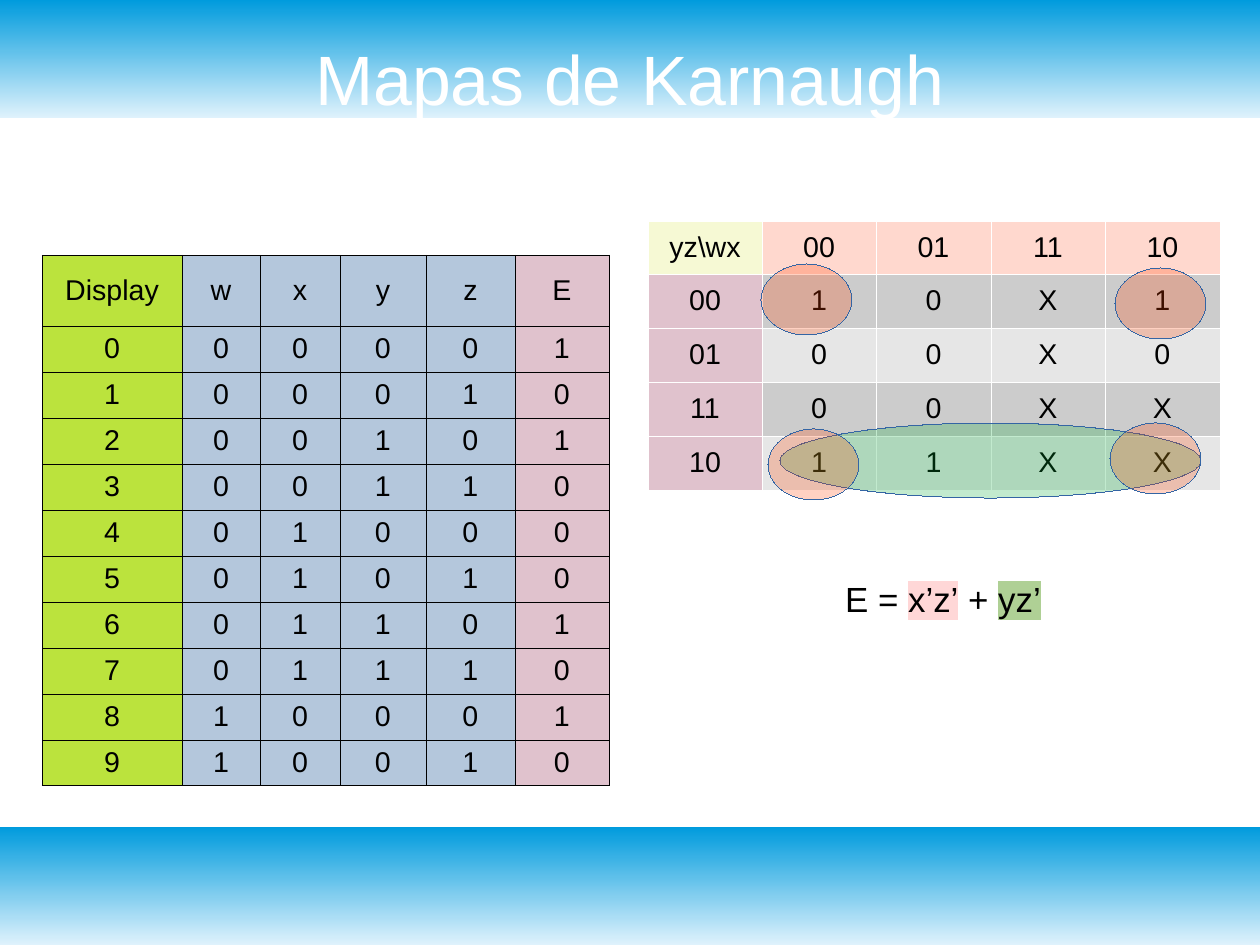
from pptx import Presentation
from pptx.dml.color import RGBColor
from pptx.enum.shapes import MSO_SHAPE as SHAPE
from pptx.enum.text import MSO_ANCHOR as ANCHOR, PP_ALIGN as ALIGN
from pptx.oxml import parse_xml
from pptx.oxml.ns import nsdecls
from pptx.util import Pt

PX = 8000
COLORS = {
    "white": "FFFFFF", "black": "000000", "sky": "009BDD", "pale": "DFF2FC",
    "lime": "BBE33D", "steel": "B4C7DC", "mauve": "E0C2CD",
    "cream": "F6F9D4", "peach": "FFD8CE", "dark gray": "CCCCCC", "light gray": "E6E6E6",
    "rose mark": "FFD7D7", "green mark": "AFD095",
    "green": "00A933", "orange": "FF4000", "outline": "3465A4",
}


def add_text(paragraph, text, size, color="black"):
    paragraph.alignment = ALIGN.CENTER
    run = paragraph.add_run()
    run.text = text
    for name, value in {"name": "Arial", "size": Pt(size)}.items():
        setattr(run.font, name, value)
    run.font.color.rgb = RGBColor.from_string(COLORS[color])
    return run


def add_grid(left, top, widths, heights, rows, border, pick_fill):
    frame = slide.shapes.add_table(
        len(rows), len(widths), left * PX, top * PX, sum(widths) * PX, sum(heights) * PX)
    table = frame.table
    table.first_row = table.horz_banding = False
    for column, width in zip(table.columns, widths):
        column.width = width * PX
    for row, height in zip(table.rows, heights):
        row.height = height * PX
    for r, values in enumerate(rows):
        for c, value in enumerate(values):
            cell = table.cell(r, c)
            cell.vertical_anchor = ANCHOR.MIDDLE
            properties = cell._tc.get_or_add_tcPr()
            for side in "LRTB":
                properties.append(parse_xml(
                    f'<a:ln{side} {nsdecls("a")} w="720"><a:solidFill>'
                    f'<a:srgbClr val="{COLORS[border]}"/></a:solidFill></a:ln{side}>'))
            cell.fill.solid()
            cell.fill.fore_color.rgb = RGBColor.from_string(COLORS[pick_fill(r, c)])
            add_text(cell.text_frame.paragraphs[0], value, 18)


presentation = Presentation()
presentation.slide_width = 1260 * PX
presentation.slide_height = 945 * PX
slide = presentation.slides.add_slide(presentation.slide_layouts[6])

for top in (0, 827):
    band = slide.shapes.add_shape(SHAPE.RECTANGLE, 0, top * PX, 1260 * PX, 118 * PX)
    band.shadow.inherit = False
    band.line.fill.background()
    band.fill.gradient()
    band.fill.gradient_angle = 90
    for stop, color in zip(band.fill.gradient_stops, ("pale", "sky")):
        stop.color.rgb = RGBColor.from_string(COLORS[color])

title = slide.shapes.add_textbox(63 * PX, 38 * PX, 1134 * PX, 80 * PX).text_frame
for name, value in {"word_wrap": True, "vertical_anchor": ANCHOR.MIDDLE, "margin_left": 0,
                    "margin_right": 0, "margin_top": 0, "margin_bottom": 0}.items():
    setattr(title, name, value)
add_text(title.paragraphs[0], "Mapas de Karnaugh", 44, "white")

karnaugh_rows = [
    ["yz\\wx", "00", "01", "11", "10"],
    ["00", "1", "0", "X", "1"],
    ["01", "0", "0", "X", "0"],
    ["11", "0", "0", "X", "X"],
    ["10", "1", "1", "X", "X"],
]
add_grid(648, 221, [114, 114, 115, 114, 115], [53] + [54] * 4, karnaugh_rows, "white",
         lambda r, c: ("peach" if c else "cream") if r == 0
         else "mauve" if c == 0 else "dark gray" if r % 2 else "light gray")

truth_rows = [["Display", "w", "x", "y", "z", "E"]]
for digit in range(10):
    truth_rows.append([str(digit), *f"{digit:04b}", "1" if digit in (0, 2, 6, 8) else "0"])
add_grid(42, 255, [140, 78, 80, 86, 89, 94], [71] + [46, 46, 46, 46, 45] * 2,
         truth_rows, "black", lambda r, c: {0: "lime", 5: "mauve"}.get(c, "steel"))

formula = slide.shapes.add_textbox(676 * PX, 532 * PX, 534 * PX, 134 * PX).text_frame
formula.word_wrap = True
formula.vertical_anchor = ANCHOR.MIDDLE
for text, mark in [("E = ", None), ("x’z’", "rose mark"), (" + ", None), ("yz’", "green mark")]:
    run = add_text(formula.paragraphs[0], text, 22)
    if mark:
        run.font.fill._xPr.solidFill.addnext(parse_xml(
            f'<a:highlight {nsdecls("a")}><a:srgbClr val="{COLORS[mark]}"/></a:highlight>'))

groups = [
    (780, 423, 421, 75, "green"),
    (768, 429, 91, 71, "orange"),
    (1110, 423, 91, 71, "orange"),
    (1115, 268, 91, 71, "orange"),
    (761, 264, 91, 71, "orange"),
]
for left, top, width, height, color in groups:
    loop = slide.shapes.add_shape(SHAPE.OVAL, left * PX, top * PX, width * PX, height * PX)
    loop.shadow.inherit = False
    loop.fill.solid()
    loop.fill.fore_color.rgb = RGBColor.from_string(COLORS[color])
    loop.fill._xPr.solidFill[0].append(parse_xml(f'<a:alpha {nsdecls("a")} val="24000"/>'))
    loop.line.color.rgb = RGBColor.from_string(COLORS["outline"])
    loop.line._get_or_add_ln().set("w", "0")

presentation.save("out.pptx")
